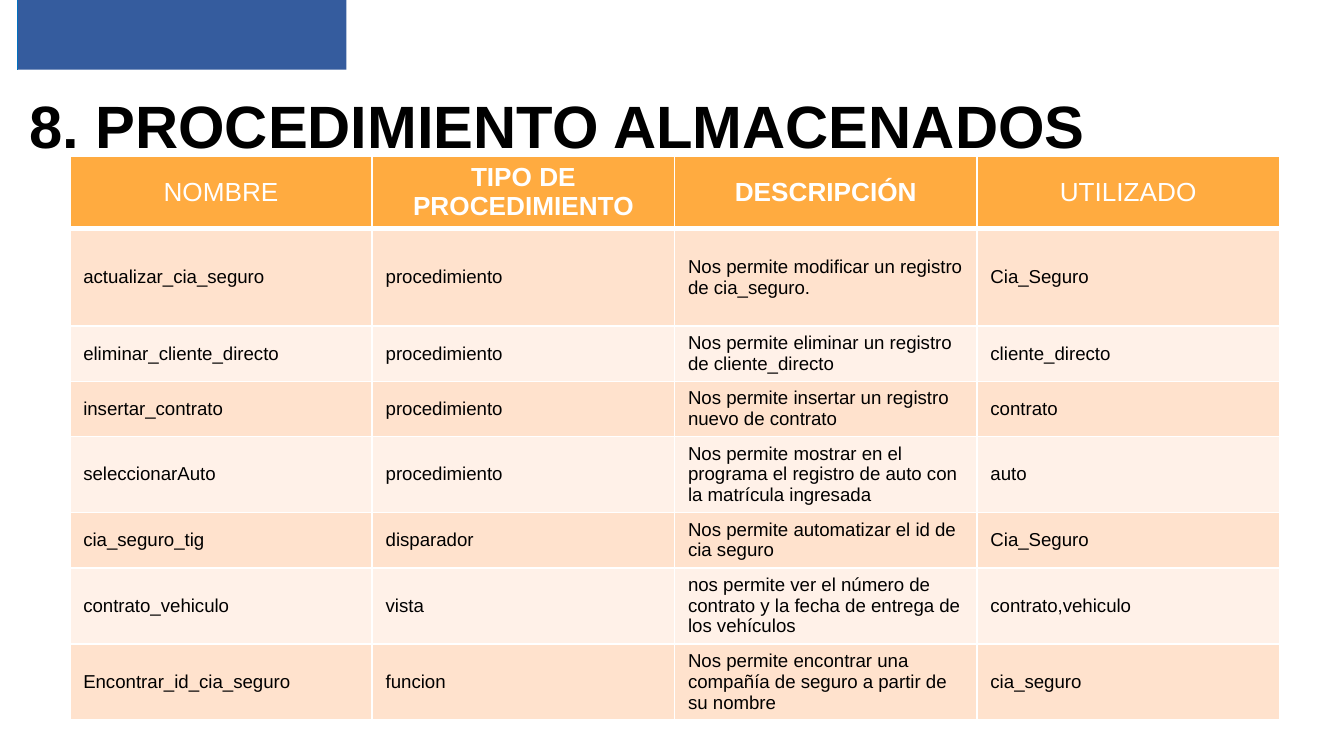
"""Builds a slide with a table of stored procedures."""
from lxml import etree
from pptx import Presentation
from pptx import util as u
from pptx.dml.color import RGBColor
from pptx.enum import shapes, text
from pptx.oxml.ns import qn

COLOURS = {"banner": "355C9E", "edge": "0070C0", "header": "FFAB40", "odd": "FFE2CD",
           "even": "FFF1E8", "white": "FFFFFF", "black": "000000"}
TITLE_FONT = {"name": "Arial", "size": u.Pt(32), "bold": True}
HEADER_FONT = {"name": "Arial", "size": u.Pt(14)}
BODY_FONT = {"name": "Arial", "size": u.Pt(10), "bold": False}
BOLD_HEADINGS = ("TIPO DE PROCEDIMIENTO", "DESCRIPCIÓN")
ROWS = [
    ("NOMBRE", "TIPO DE PROCEDIMIENTO", "DESCRIPCIÓN", "UTILIZADO"),
    ("actualizar_cia_seguro", "procedimiento",
     "Nos permite modificar un registro de cia_seguro.", "Cia_Seguro"),
    ("eliminar_cliente_directo", "procedimiento",
     "Nos permite eliminar un registro de cliente_directo", "cliente_directo"),
    ("insertar_contrato", "procedimiento",
     "Nos permite insertar un registro nuevo de contrato", "contrato"),
    ("seleccionarAuto", "procedimiento",
     "Nos permite mostrar en el programa el registro de auto con la matrícula ingresada", "auto"),
    ("cia_seguro_tig", "disparador",
     "Nos permite automatizar el id de cia seguro", "Cia_Seguro"),
    ("contrato_vehiculo", "vista",
     "nos permite ver el número de contrato y la fecha de entrega de los vehículos",
     "contrato,vehiculo"),
    ("Encontrar_id_cia_seguro", "funcion",
     "Nos permite encontrar una compañía de seguro a partir de su nombre", "cia_seguro"),
]
ROW_HEIGHTS = [1.32, 1.85] + [0.94] * 6


def write(paragraph, words, font_values, colour):
    run = paragraph.add_run()
    run.text = words
    for attribute, value in font_values.items():
        setattr(run.font, attribute, value)
    run.font.color.rgb = RGBColor.from_string(COLOURS[colour])


def add_border(cell, side, points):
    line = etree.SubElement(cell._tc.get_or_add_tcPr(), qn(f"a:ln{side}"), w=str(u.Pt(points)))
    fill = etree.SubElement(line, qn("a:solidFill"))
    etree.SubElement(fill, qn("a:srgbClr"), val=COLOURS["white"])


prs = Presentation()
prs.slide_width, prs.slide_height = u.Cm(25.4), u.Cm(14.29)
slide = prs.slides.add_slide(prs.slide_layouts[6])

banner = slide.shapes.add_shape(shapes.MSO_SHAPE.RECTANGLE, u.Cm(0.33), 0, u.Cm(6.22), u.Cm(1.32))
banner.shadow.inherit = False
banner.fill.solid()
banner.fill.fore_color.rgb = RGBColor.from_string(COLOURS["banner"])
banner.line.fill.background()

edge = slide.shapes.add_connector(shapes.MSO_CONNECTOR.STRAIGHT,
                                  u.Cm(0.33), 0, u.Cm(0.33), u.Cm(1.32))
edge.line.color.rgb = RGBColor.from_string(COLOURS["edge"])
edge.line.width = u.Pt(1)
etree.SubElement(edge._element.spPr, qn("a:effectLst"))

procedures = slide.shapes.add_table(len(ROWS), 4, u.Cm(1.32), u.Cm(2.95), u.Cm(22.86),
                                    u.Cm(sum(ROW_HEIGHTS))).table
for column in procedures.columns:
    column.width = u.Cm(5.715)
for r, (row, height) in enumerate(zip(ROWS, ROW_HEIGHTS)):
    procedures.rows[r].height = u.Cm(height)
    band = "header" if r == 0 else "odd" if r % 2 else "even"
    for c, words in enumerate(row):
        cell = procedures.cell(r, c)
        cell.vertical_anchor = text.MSO_ANCHOR.MIDDLE
        for side in "LR":
            add_border(cell, side, 1)
        if r == 0:
            add_border(cell, "T", 1)
        add_border(cell, "B", 3 if r == 0 else 1)
        cell.fill.solid()
        cell.fill.fore_color.rgb = RGBColor.from_string(COLOURS[band])
        paragraph = cell.text_frame.paragraphs[0]
        if r == 0:
            paragraph.alignment = text.PP_ALIGN.CENTER
            write(paragraph, words, {**HEADER_FONT, "bold": words in BOLD_HEADINGS}, "white")
        else:
            write(paragraph, words, BODY_FONT, "black")

title = slide.shapes.add_textbox(u.Cm(0.3), u.Cm(1.3), u.Cm(21.41), u.Cm(1.19)).text_frame
title_format = {"word_wrap": True, "vertical_anchor": text.MSO_ANCHOR.TOP,
                "margin_left": u.Cm(0.25), "margin_right": u.Cm(0.25),
                "margin_top": u.Cm(0.38), "margin_bottom": u.Cm(0.25)}
for attribute, value in title_format.items():
    setattr(title, attribute, value)
write(title.paragraphs[0], "8. PROCEDIMIENTO ALMACENADOS", TITLE_FONT, "black")

prs.save("out.pptx")
